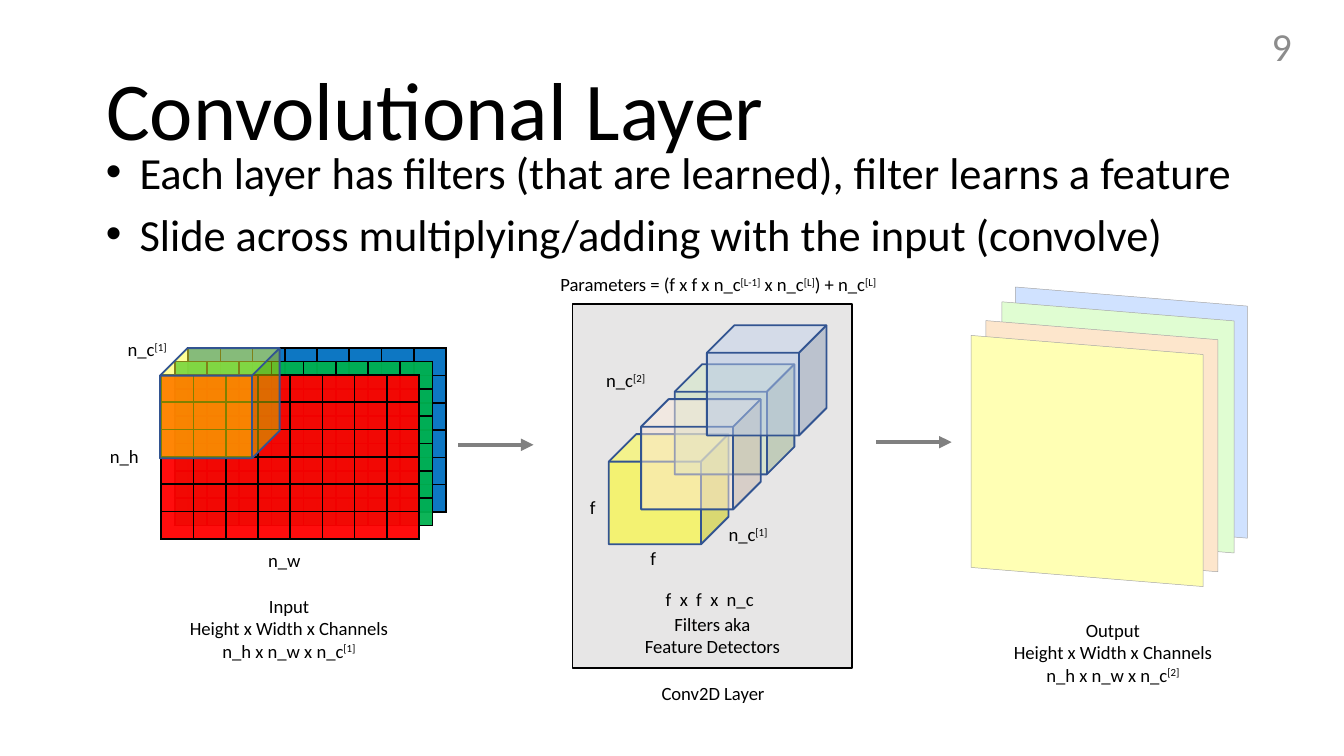
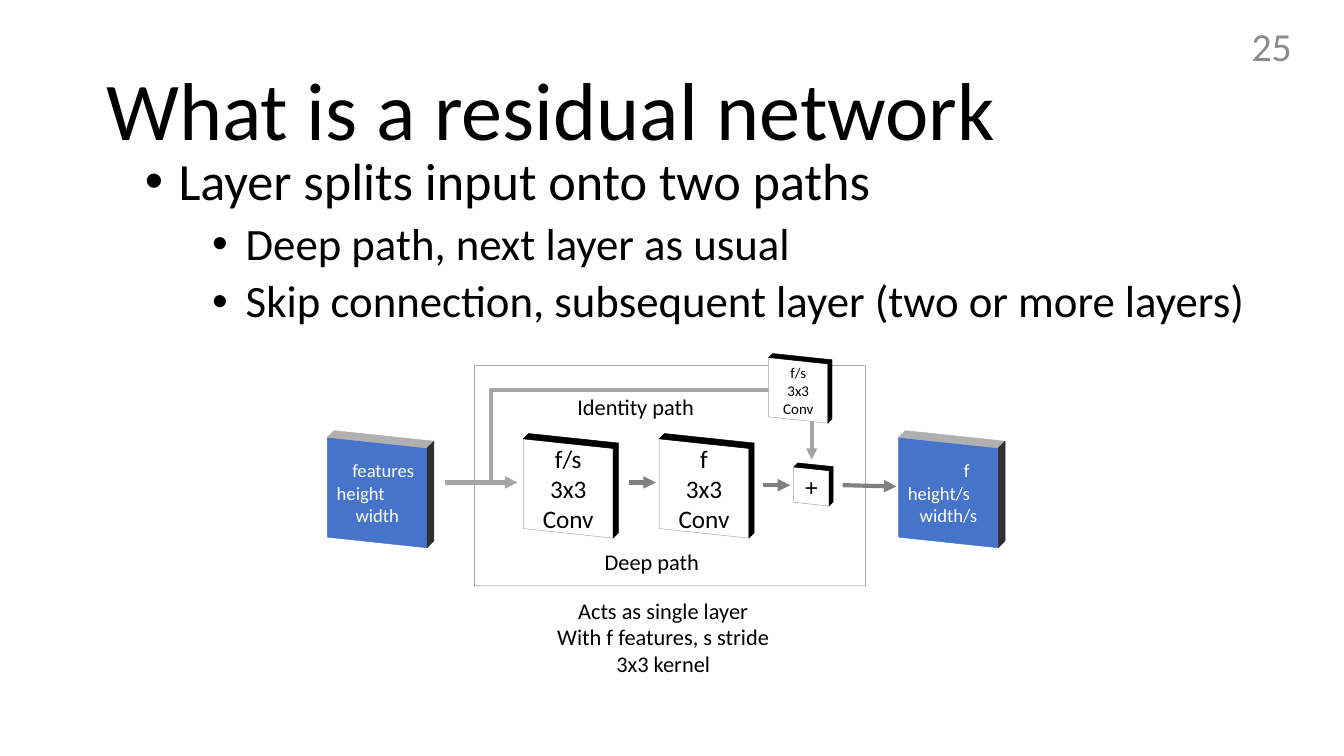
from lxml import etree
from pptx import Presentation
from pptx import util as u
from pptx.dml.color import RGBColor
from pptx.enum import shapes, text
from pptx.oxml.ns import qn

FONT = "Calibri"
BLACK, WHITE, GRAY, SILVER, OUTLINE = "000000", "FFFFFF", "808080", "A5A5A5", "325491"
LEFT, CENTER, RIGHT = text.PP_ALIGN.LEFT, text.PP_ALIGN.CENTER, text.PP_ALIGN.RIGHT


def ink(fill, color, alpha=None):
    fill.solid()
    fill.fore_color.rgb = RGBColor.from_string(color)
    if alpha:
        srgb = fill._xPr.find(qn("a:solidFill"))[0]
        etree.SubElement(srgb, qn("a:alpha"), val=str(alpha * 1000))


def write(frame, lines, size, color=BLACK, align=CENTER):
    frame.word_wrap = True
    frame.auto_size = text.MSO_AUTO_SIZE.NONE
    frame.vertical_anchor = text.MSO_ANCHOR.MIDDLE
    for row, line in enumerate(lines):
        para = frame.paragraphs[0] if row == 0 else frame.add_paragraph()
        para.alignment = align
        for part, words in enumerate(line.split("^")):
            span = para.add_run()
            span.text = words
            span.font.name = FONT
            span.font.size = u.Pt(size)
            ink(span.font.fill, color)
            if part % 2:
                span.font._element.set("baseline", "30000")


deck = Presentation()
deck.slide_width, deck.slide_height = u.Inches(10), u.Inches(10 * 9 / 16)
layout = deck.slide_layouts[5]
conv, residual = [deck.slides.add_slide(layout) for _ in range(2)]

frames = [
    (conv, 4.26, 2.26, 2.08, 2.71, "E7E6E6", BLACK, 1, None),
    (residual, 3.53, 2.72, 2.91, 1.64, None, BLACK, 0.25, 50),
]
for page, left, top, width, height, fill, line, weight, alpha in frames:
    box = page.shapes.add_shape(
        shapes.MSO_SHAPE.RECTANGLE, *map(u.Inches, (left, top, width, height)))
    box.shadow.inherit = False
    if fill:
        ink(box.fill, fill)
    else:
        box.fill.background()
    box.line.width = u.Pt(weight)
    ink(box.line.fill, line, alpha)

headers = [
    (conv, "Convolutional Layer", "9", (0.69, 1.11, 8.9, 0.94), 0.8, [
        ("Each layer has filters (that are learned), filter learns a feature", 23.8, 0),
        ("Slide across multiplying/adding with the input (convolve)", 23.8, 0)]),
    (residual, "What is a residual network", "25", (0.98, 1.11, 8.62, 1.74), 0.9, [
        ("Layer splits input onto two paths", 28, 0),
        ("Deep path, next layer as usual", 24, 1),
        ("Skip connection, subsequent layer (two or more layers)", 24, 1)]),
]
for page, heading, number, area, spacing, bullets in headers:
    title = page.shapes.title
    title.left, title.top, title.width, title.height = map(u.Inches, (0.69, 0.3, 8.62, 1.09))
    write(title.text_frame, [heading], 44, align=LEFT)
    title.text_frame.paragraphs[0].line_spacing = 0.9

    body = page.shapes.add_textbox(*map(u.Inches, area))
    write(body.text_frame, [bullet[0] for bullet in bullets], 24, align=LEFT)
    body.text_frame.vertical_anchor = text.MSO_ANCHOR.TOP
    for para, (_, size, level) in zip(body.text_frame.paragraphs, bullets):
        para.runs[0].font.size = u.Pt(size)
        para.level = level
        para.line_spacing = spacing
        para.space_before = u.Pt(5 if level else 10)
        props = para._p.get_or_add_pPr()
        props.set("marL", str(u.Inches(0.25 + 0.5 * level)))
        props.set("indent", str(-u.Inches(0.25)))
        etree.SubElement(props, qn("a:buFont"), typeface="Arial")
        etree.SubElement(props, qn("a:buChar"), char="•")

    box = page.shapes.add_textbox(*map(u.Inches, (7.46, 0.19, 2.25, 0.3)))
    write(box.text_frame, [number], 21.3, "8C8C8C", RIGHT)

STRAIGHT, ELBOW = shapes.MSO_CONNECTOR.STRAIGHT, shapes.MSO_CONNECTOR.ELBOW
arrows = [
    (conv, STRAIGHT, (3.41, 3.31, 3.97, 3.31), GRAY, 2.25),
    (conv, STRAIGHT, (6.52, 3.29, 7.08, 3.29), GRAY, 2.25),
    (residual, STRAIGHT, (3.31, 3.59, 3.85, 3.59), SILVER, 2.25),
    (residual, STRAIGHT, (4.68, 3.59, 4.88, 3.59), GRAY, 2.25),
    (residual, STRAIGHT, (5.68, 3.61, 5.88, 3.61), GRAY, 2.25),
    (residual, STRAIGHT, (6.27, 3.61, 6.67, 3.62), GRAY, 2.25),
    (residual, ELBOW, (3.48, 3.59, 6.04, 2.9), SILVER, 2),
    (residual, STRAIGHT, (6.04, 2.9, 6.04, 3.42), SILVER, 2),
]
for page, kind, ends, color, weight in arrows:
    arrow = page.shapes.add_connector(kind, *map(u.Inches, ends))
    arrow.line.width = u.Pt(weight)
    ink(arrow.line.fill, color)
    props = arrow._element.spPr
    if kind == ELBOW:
        guides = props.find(qn("a:prstGeom")).find(qn("a:avLst"))
        etree.SubElement(guides, qn("a:gd"), name="adj1", fmla="val 6700")
    else:
        etree.SubElement(props.find(qn("a:ln")), qn("a:tailEnd"), type="triangle")
    etree.SubElement(props, qn("a:effectLst"))

ROWS, COLUMNS = 6, 8
for channel, color in enumerate(["0070C0", "00B050", "FF0000"]):
    left, top = 1.4 - 0.1 * channel, 2.59 + 0.1 * channel
    grid = conv.shapes.add_table(
        ROWS, COLUMNS, *map(u.Inches, (left, top, 1.92, 1.22))).table
    for row in grid.rows:
        row.height = u.Inches(1.22 / ROWS)
    for column in grid.columns:
        column.width = u.Inches(1.92 / COLUMNS)
    for cell in grid.iter_cells():
        cell.margin_left = cell.margin_right = cell.margin_top = cell.margin_bottom = 0
        etree.SubElement(cell.text_frame.paragraphs[0]._p, qn("a:endParaRPr"), sz="400")
        props = cell._tc.get_or_add_tcPr()
        for side in ("lnL", "lnR", "lnT", "lnB"):
            border = etree.SubElement(props, qn("a:" + side), w=str(u.Pt(1)))
            solid = etree.SubElement(border, qn("a:solidFill"))
            etree.SubElement(solid, qn("a:srgbClr"), val=BLACK)
        ink(cell.fill, color, 95)

cubes = [
    (1.19, 2.59, "FFFF00"), (4.53, 3.23, "FFFF00"), (5.02, 2.71, "C5E0B4"),
    (4.77, 2.97, "FBE5D6"), (5.26, 2.42, "B4C7E7"),
]
for left, top, color in cubes:
    cube = conv.shapes.add_shape(
        shapes.MSO_SHAPE.CUBE, *map(u.Inches, (left, top, 0.89, 0.82)))
    cube.shadow.inherit = False
    ink(cube.fill, color, 50)
    cube.line.width = u.Pt(1)
    ink(cube.line.fill, OUTLINE)

BLUE = "4674CA"
features = [BLUE, "B0B0B0", "303030"]
kernel = [WHITE, BLACK, BLACK]
plates = [
    (conv, 7.52, 2.18, 1.78, 0.08, 0, ["D0E2FF"], [], 10),
    (conv, 7.42, 2.29, 1.78, 0.08, 0, ["E0FDD2"], [], 10),
    (conv, 7.3, 2.43, 1.78, 0.08, 0, ["FDE6CC"], [], 10),
    (conv, 7.19, 2.54, 1.78, 0.08, 0, ["FFFFB4"], [], 10),
    (residual, 2.42, 3.27, 0.79, 0.1, 0.05, features, ["features", "height", "width"], 10),
    (residual, 3.88, 3.28, 0.71, 0.1, 0.04, kernel, ["f/s", "3x3", "Conv"], 13.5),
    (residual, 4.89, 3.28, 0.71, 0.1, 0.04, kernel, ["f", "3x3", "Conv"], 13.5),
    (residual, 6.67, 3.27, 0.79, 0.1, 0.05, features, ["f", "height/s", "width/s"], 10),
    (residual, 5.9, 3.48, 0.28, 0.1, 0.03, kernel, ["+"], 13.5),
    (residual, 5.71, 2.67, 0.47, 0.1, 0.03, kernel, ["f/s", "3x3", "Conv"], 8),
]
for page, left, top, size, slant, depth, colors, lines, points in plates:
    edge, drop = (0.94 if depth else 0.97) * size, slant * size
    x, y = left + 0.02 * size, top + (size - edge - drop) / 2
    corner, lower = (x + edge, y + drop), (x + edge, y + drop + edge)
    back = (x + edge + depth, y + drop - depth)
    faces = [
        [(x, y), corner, lower, (x, y + edge)],
        [(x, y), (x + depth, y - depth), back, corner],
        [corner, back, (back[0], back[1] + edge), lower],
    ]
    for part, (color, face) in enumerate(zip(colors, faces)):
        start, *rest = [(u.Inches(a), u.Inches(b)) for a, b in face]
        builder = page.shapes.build_freeform(*start)
        builder.add_line_segments(rest)
        plate = builder.convert_to_shape()
        plate.shadow.inherit = False
        ink(plate.fill, color)
        plate.line.width = u.Pt(0.25)
        ink(plate.line.fill, SILVER if part == 0 and color != BLUE else color)
        if part == 0 and lines:
            frame = plate.text_frame
            frame.margin_top = frame.margin_bottom = 0
            frame.margin_left = frame.margin_right = u.Inches(0.07 if color == BLUE else 0)
            write(frame, lines, points, WHITE if color == BLUE else BLACK)
            if color == BLUE:
                shift = 0.27 if lines[0] == "f" else 0.09
                frame.paragraphs[0]._p.get_or_add_pPr().set("marL", str(u.Inches(shift)))
                frame.paragraphs[1].alignment = LEFT

labels = [
    (conv, 4.51, 4.97, 1.59, 0.37, 10, ["Conv2D Layer"]),
    (conv, 4.57, 4.48, 1.46, 0.49, 10, ["Filters aka", "Feature Detectors"]),
    (conv, 1.11, 4.36, 2.08, 0.63, 10,
     ["Input", "Height x Width x Channels", "n_h x n_w x n_c^[1]"]),
    (conv, 7.24, 4.54, 2.08, 0.63, 10,
     ["Output", "Height x Width x Channels", "n_h x n_w x n_c^[2]"]),
    (conv, 4.69, 4.27, 1.18, 0.37, 10, ["f  x  f  x  n_c"]),
    (conv, 4.25, 3.59, 0.32, 0.37, 10, ["f"]),
    (conv, 4.7, 3.97, 0.32, 0.37, 10, ["f"]),
    (conv, 5.24, 3.79, 0.65, 0.37, 10, ["n_c^[1]"]),
    (conv, 1.82, 4.03, 0.59, 0.28, 10, ["n_w"]),
    (conv, 0.63, 3.25, 0.59, 0.28, 10, ["n_h"]),
    (conv, 0.8, 2.46, 0.59, 0.28, 10, ["n_c^[1]"]),
    (conv, 4.23, 2.71, 0.85, 0.24, 10, ["n_c^[2]"]),
    (conv, 3.76, 1.87, 3.17, 0.49, 10,
     ["Parameters = (f x f x n_c^[L-1]^ x n_c^[L]^) + n_c^[L]"]),
    (residual, 3.93, 4.4, 2.01, 0.68, 12,
     ["Acts as single layer", "With f features, s stride", "3x3 kernel"]),
    (residual, 3.92, 2.84, 1.62, 0.37, 12, ["Identity path"]),
    (residual, 4.04, 3.99, 1.62, 0.37, 12, ["Deep path"]),
]
for page, left, top, width, height, size, lines in labels:
    box = page.shapes.add_textbox(*map(u.Inches, (left, top, width, height)))
    write(box.text_frame, lines, size)

deck.save("out.pptx")
